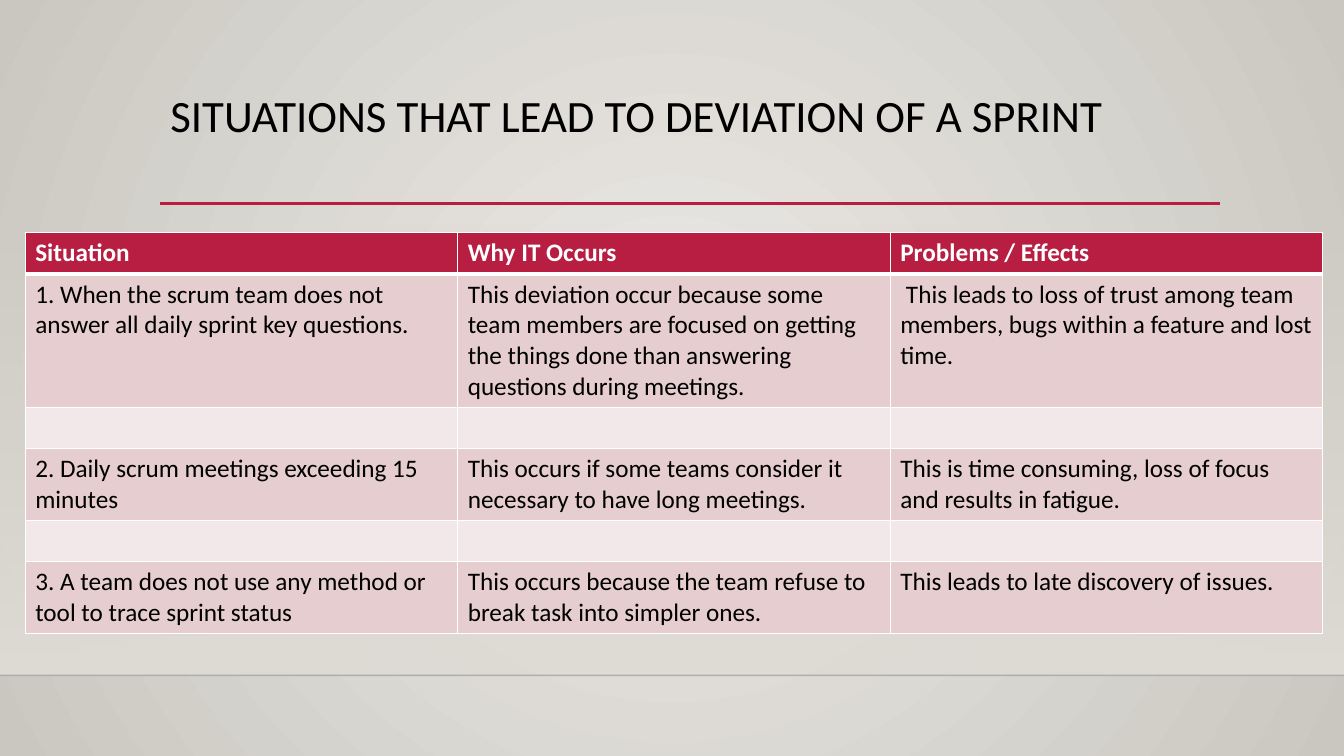
from dataclasses import dataclass

from lxml import etree
from pptx import Presentation
from pptx.dml import color as c
from pptx.dml.fill import FillFormat
from pptx.enum import shapes, text
from pptx.oxml import ns
from pptx.slide import Slide
from pptx.table import _Cell as Cell
from pptx.text.text import TextFrame
from pptx.util import Inches, Pt

BLACK = c.RGBColor(0x00, 0x00, 0x00)
NEAR_BLACK = c.RGBColor(0x00, 0x00, 0x01)
WHITE = c.RGBColor(0xFF, 0xFF, 0xFF)
CRIMSON = c.RGBColor(0xB7, 0x1E, 0x42)
ROSE = c.RGBColor(0xE6, 0xCD, 0xCF)
PALE_ROSE = c.RGBColor(0xF3, 0xE8, 0xE9)
WALL_LIGHT = c.RGBColor(0xEC, 0xEA, 0xE7)
WALL_DARK = c.RGBColor(0xCA, 0xC7, 0xC1)
FLOOR = c.RGBColor(0xDF, 0xDB, 0xD5)

WIDTH, HEIGHT = 13.33, 7.5
FLOOR_TOP, FLOOR_EDGE = 2.21, 6.7
COLUMN_WIDTH = 4.29
ROW_HEIGHTS = [0.41] * 5 + [0.26]


@dataclass
class Rule:
    left: float
    right: float
    y: float
    color: c.RGBColor
    width: float
    opacity: int = 100


RULES = [
    Rule(0, WIDTH, FLOOR_EDGE, NEAR_BLACK, 1, 20),
    Rule(1.59, 12.1, 2.02, CRIMSON, 2.5),
]

ROWS = [
    ("Situation", "Why IT Occurs", "Problems / Effects"),
    ("1. When the scrum team does not answer all daily sprint key questions.",
     "This deviation occur because some team members are focused on getting "
     "the things done than answering questions during meetings.",
     " This leads to loss of trust among team members, bugs within a feature and lost time."),
    ("", "", ""),
    ("2. Daily scrum meetings exceeding 15 minutes",
     "This occurs if some teams consider it necessary to have long meetings.",
     "This is time consuming, loss of focus and results in fatigue."),
    ("", "", ""),
    ("3. A team does not use any method or tool to trace sprint status",
     "This occurs because the team refuse to break task into simpler ones.",
     "This leads to late discovery of issues."),
]


def add_child(parent: etree._Element, tag: str, **attrs: str) -> etree._Element:
    return etree.SubElement(parent, ns.qn(tag), attrs)


def set_opacity(color: etree._Element, percent: int) -> None:
    add_child(color, "a:alpha", val=str(percent * 1000))


def set_gradient(fill: FillFormat, start: c.RGBColor, end: c.RGBColor) -> None:
    fill.gradient()
    for stop, position, rgb in zip(fill.gradient_stops, (0, 1), (start, end)):
        stop.position = position
        stop.color.rgb = rgb


def write_text(tf: TextFrame, words: str, color: c.RGBColor, size: int, bold: bool) -> None:
    p = tf.paragraphs[0]
    p.alignment = text.PP_ALIGN.LEFT
    r = p.add_run()
    r.text = words
    r.font.color.rgb = color
    for name, value in {"name": "Calibri", "size": Pt(size), "bold": bold}.items():
        setattr(r.font, name, value)


def add_background(s: Slide) -> None:
    set_gradient(s.background.fill, WALL_LIGHT, WALL_DARK)
    grad = s.element.find(".//" + ns.qn("a:gradFill"))
    for lin in grad.findall(ns.qn("a:lin")):
        grad.remove(lin)
    circle = add_child(grad, "a:path", path="circle")
    add_child(circle, "a:fillToRect", **dict.fromkeys("ltrb", "50000"))


def add_floor(s: Slide) -> None:
    sp = s.shapes.add_shape(shapes.MSO_SHAPE.RECTANGLE, 0, Inches(FLOOR_TOP),
                            Inches(WIDTH), Inches(FLOOR_EDGE - FLOOR_TOP))
    sp.shadow.inherit = False
    sp.line.fill.background()
    set_gradient(sp.fill, FLOOR, FLOOR)
    sp.fill.gradient_angle = 270
    set_opacity(sp.element.find(".//" + ns.qn("a:srgbClr")), 0)


def add_rule(s: Slide, rule: Rule) -> None:
    line = s.shapes.add_connector(shapes.MSO_CONNECTOR.STRAIGHT,
                                  Inches(rule.left), Inches(rule.y),
                                  Inches(rule.right), Inches(rule.y))
    line.line.color.rgb = rule.color
    line.line.width = Pt(rule.width)
    if rule.opacity < 100:
        set_opacity(line.element.find(".//" + ns.qn("a:srgbClr")), rule.opacity)
    add_child(line.element.spPr, "a:effectLst")


def add_borders(cell: Cell, top: int, bottom: int) -> None:
    tc_pr = cell._tc.get_or_add_tcPr()
    for side, width in {"L": 1, "R": 1, "T": top, "B": bottom}.items():
        ln = add_child(tc_pr, f"a:ln{side}", w=str(Pt(width)))
        add_child(add_child(ln, "a:solidFill"), "a:srgbClr", val=str(WHITE))


def add_situations(s: Slide) -> None:
    frame = s.shapes.add_table(len(ROWS), 3, Inches(0.25), Inches(2.31),
                               Inches(12.88), Inches(3.92))
    table = frame.table
    for column in table.columns:
        column.width = Inches(COLUMN_WIDTH)
    for i, (row, height) in enumerate(zip(ROWS, ROW_HEIGHTS)):
        table.rows[i].height = Inches(height)
        header = i == 0
        for j, words in enumerate(row):
            cell = table.cell(i, j)
            add_borders(cell, top=3 if i == 1 else 1, bottom=3 if header else 1)
            cell.fill.solid()
            cell.fill.fore_color.rgb = CRIMSON if header else ROSE if i % 2 else PALE_ROSE
            if words:
                write_text(cell.text_frame, words, WHITE if header else BLACK, 18, header)
    frame.height = Inches(3.92)


def add_title(s: Slide) -> None:
    sp = s.shapes.title
    place = {"left": 1.59, "top": 0.88, "width": 10.5, "height": 1.15}
    for name, value in place.items():
        setattr(sp, name, Inches(value))
    tf = sp.text_frame
    layout = {"word_wrap": True, "auto_size": text.MSO_AUTO_SIZE.NONE,
              "vertical_anchor": text.MSO_ANCHOR.TOP}
    for name, value in layout.items():
        setattr(tf, name, value)
    write_text(tf, "SITUATIONS THAT LEAD TO DEVIATION OF A SPRINT", BLACK, 32, False)
    tf.paragraphs[0].line_spacing = 0.9


def main() -> None:
    prs = Presentation()
    prs.slide_width, prs.slide_height = Inches(WIDTH), Inches(HEIGHT)
    s = prs.slides.add_slide(prs.slide_layouts[5])

    # Backdrop
    add_background(s)
    add_floor(s)
    for rule in RULES:
        add_rule(s, rule)

    # Content
    add_title(s)
    add_situations(s)
    prs.save("out.pptx")


if __name__ == "__main__":
    main()
